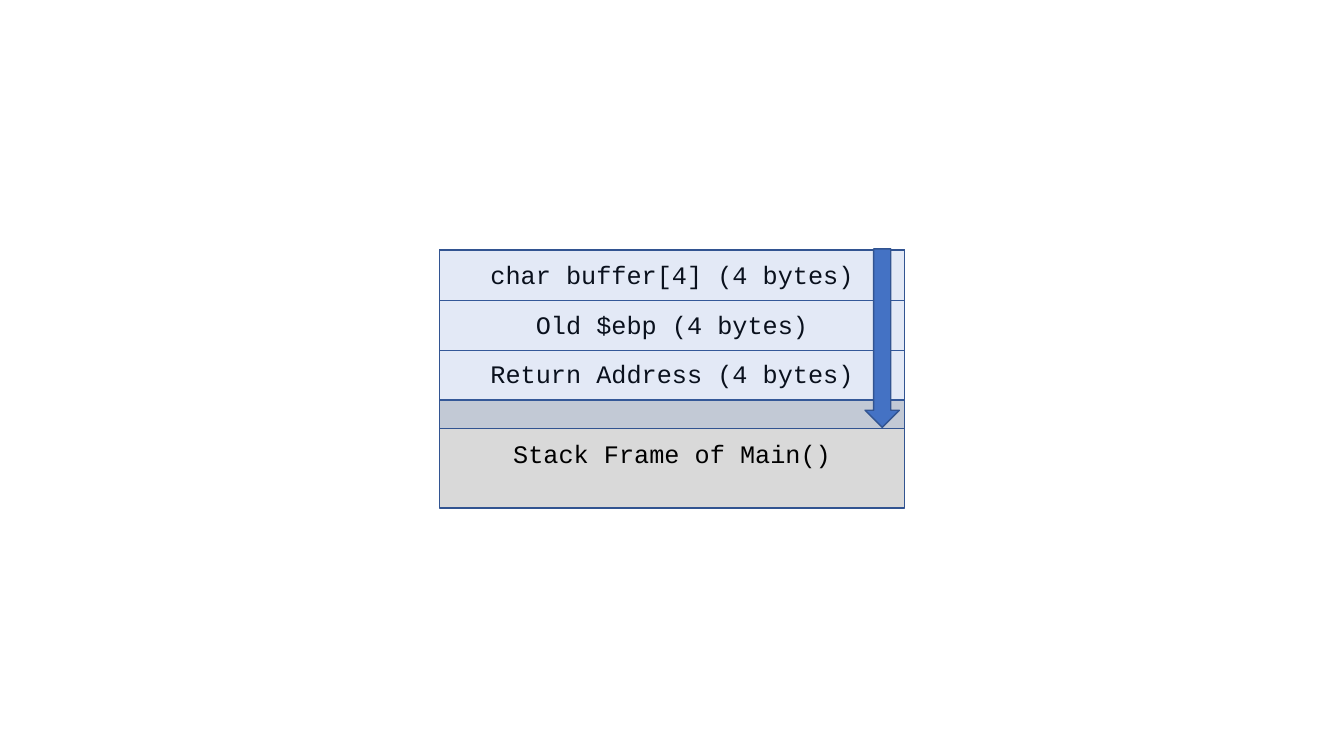
from dataclasses import dataclass

from lxml import etree
from pptx import Presentation
from pptx import util as u
from pptx.dml.color import RGBColor
from pptx.enum import shapes, text
from pptx.oxml.ns import qn

PX = 9144
LEFT, WIDTH = 436, 461
LABEL_HEIGHT = 40
BLUE, EDGE = "4472C4", "325491"


@dataclass
class Block:
    """One labelled region of the stack."""
    label: str
    top: int
    height: int
    label_offset: int
    fill: str


BLOCKS = [
    Block("Stack Frame of Main()", 397, 107, 33, "D9D9D9"),
    Block("Return Address (4 bytes)", 347, 50, 4, "FFFFFF"),
    Block("Old $ebp (4 bytes)", 298, 50, 4, "FFFFFF"),
    Block("char buffer[4] (4 bytes)", 248, 50, 4, "FFFFFF"),
]


def px(n: int) -> u.Emu:
    """Turn px into EMU."""
    return u.Emu(n * PX)


def rgb(color: str) -> RGBColor:
    """Turn a hex string into a colour."""
    return RGBColor.from_string(color)


def add_figure(slide, kind, x: int, y: int, w: int, h: int, fill: str, opacity: int = 100):
    """Add a filled, outlined preset shape."""
    sp = slide.shapes.add_shape(kind, px(x), px(y), px(w), px(h))
    sp.shadow.inherit = False
    sp.fill.solid()
    sp.fill.fore_color.rgb = rgb(fill)
    sp.line.color.rgb = rgb(EDGE)
    sp.line.width = u.Pt(1)
    if opacity < 100:
        clr = sp.fill._xPr.find(qn("a:solidFill"))[0]
        etree.SubElement(clr, qn("a:alpha"), val=str(opacity * 1000))
    return sp


def add_label(slide, label: str, y: int) -> None:
    """Add a centred code label across the stack."""
    box = slide.shapes.add_textbox(px(LEFT), px(y), px(WIDTH), px(LABEL_HEIGHT))
    tf = box.text_frame
    tf.word_wrap = True
    tf.auto_size = text.MSO_AUTO_SIZE.SHAPE_TO_FIT_TEXT
    tf.text = label
    p = tf.paragraphs[0]
    p.alignment = text.PP_ALIGN.CENTER
    r = p.runs[0]
    r.font.name = "Courier New"
    r.font.size = u.Pt(18)
    r.font.color.rgb = rgb("000000")


def main() -> None:
    """Build the stack overflow slide."""
    prs = Presentation()
    prs.slide_width, prs.slide_height = px(1333), px(750)
    slide = prs.slides.add_slide(prs.slide_layouts[6])
    rect = shapes.MSO_SHAPE.RECTANGLE
    for block in BLOCKS:
        add_figure(slide, rect, LEFT, block.top, WIDTH, block.height, block.fill)
        add_label(slide, block.label, block.top + block.label_offset)
    add_figure(slide, rect, LEFT, 248, WIDTH, 177, BLUE, opacity=15)
    add_figure(slide, shapes.MSO_SHAPE.DOWN_ARROW, 858, 247, 34, 177, BLUE)
    prs.save("out.pptx")


if __name__ == "__main__":
    main()
